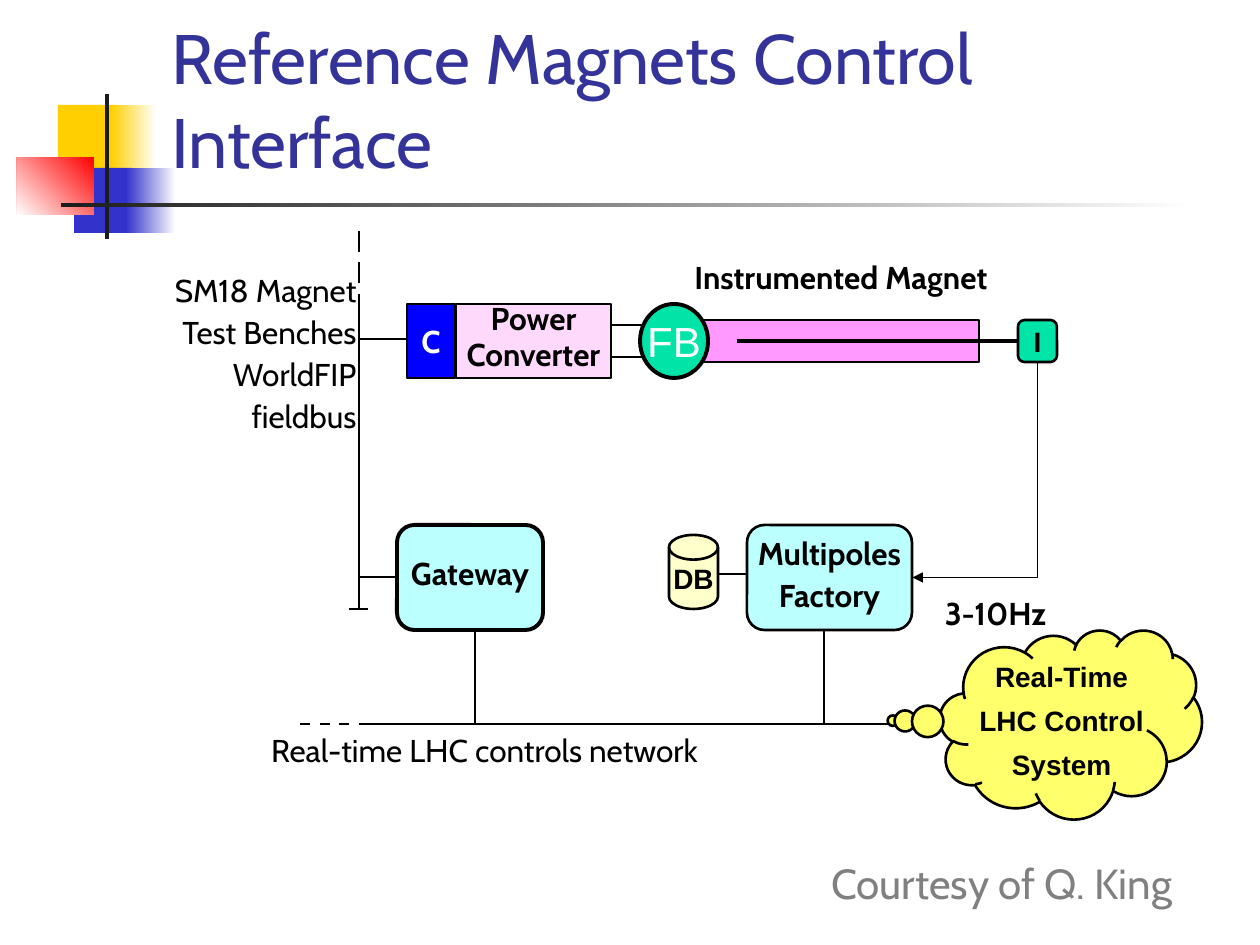
import pptx
import pptx.util
import pptx.dml.color
import pptx.enum.shapes
import pptx.enum.text
import pptx.oxml.ns
import lxml.etree

PX = 914400 / 126
FORM = pptx.enum.shapes.MSO_SHAPE
JOIN = pptx.enum.shapes.MSO_CONNECTOR
SIDE = pptx.enum.text.PP_ALIGN
MID = pptx.enum.text.MSO_ANCHOR.MIDDLE
qn = pptx.oxml.ns.qn
rgb = pptx.dml.color.RGBColor.from_string

# Theme: colours, then text styles (face, points, colour, bold)
HUE = dict(gold="FFCF01", blue="3333CC", red="FF0000", ink="1C1C1C",
           white="FFFFFF", black="000000", pink="FF99FF", rose="FFD9FB",
           deep="0000FF", aqua="BBFFFF", cream="FFFFCC", mint="00E4A8",
           lemon="FFFF6B", navy="333399", gray="808080")
TYPE = dict(title=("Cabin", 40, "navy", False),
            plain=("Cabin", 18, "black", False),
            bold=("Cabin", 18, "black", True),
            light=("Cabin", 18, "white", True),
            tag=("Arial", 16, "black", True),
            coil=("Arial", 24, "white", False),
            thanks=("Cabin", 24, "gray", False))


def write(shape, text, style, align=SIDE.CENTER, lead=1.0, **frame):
    """Fill a shape with one paragraph per line of text."""
    body = shape.text_frame
    opts = dict(word_wrap=False, vertical_anchor=MID,
                auto_size=pptx.enum.text.MSO_AUTO_SIZE.NONE) | frame
    for key, val in opts.items():
        setattr(body, key, val)
    body.text = text
    face, size, hue, bold = TYPE[style]
    for num, par in enumerate(body.paragraphs):
        gap = pptx.util.Pt(size * 0.375 if num else 0)
        for key, val in dict(alignment=align, line_spacing=lead, space_before=gap).items():
            setattr(par, key, val)
        for key, val in dict(name=face, size=pptx.util.Pt(size), bold=bold).items():
            setattr(par.font, key, val)
        par.font.color.rgb = rgb(HUE[hue])


def shape_at(form, box, hue, width=0):
    """Add a filled shape; width 0 leaves it without an outline."""
    shape = slide.shapes.add_shape(form, *(round(n * PX) for n in box))
    shape.shadow.inherit = False
    shape.fill.solid()
    shape.fill.fore_color.rgb = rgb(HUE[hue])
    if width:
        shape.line.width = pptx.util.Pt(width)
        shape.line.color.rgb = rgb(HUE["black"])
    else:
        shape.line.fill.background()
    return shape


deck = pptx.Presentation()
deck.slide_width, deck.slide_height = round(1260 * PX), round(945 * PX)
slide = deck.slides.add_slide(deck.slide_layouts[5])

# Corner blocks and rules: box, hue, gradient (start, end, angle)
for box, hue, grad in [
        ((58, 105, 60, 65), "gold", None),
        ((111, 105, 45, 65), "gold", ("white", "gold", 180)),
        ((74, 168, 58, 65), "blue", None),
        ((126, 168, 50, 65), "blue", ("white", "blue", 180)),
        ((17, 157, 77, 58), "red", ("red", "white", 225)),
        ((105, 94, 4, 145), "ink", None),
        ((61, 203, 1134, 4), "ink", ("white", "ink", 180))]:
    block = shape_at(FORM.RECTANGLE, box, hue)
    if grad:
        block.fill.gradient()
        block.fill.gradient_angle = grad[2]
        for stop, name, place in zip(block.fill.gradient_stops, grad, (0, 1)):
            stop.color.rgb = rgb(HUE[name])
            stop.position = place

# Title
title = slide.shapes.title
for key, val in dict(left=159, top=32, width=1073, height=157).items():
    setattr(title, key, round(val * PX))
write(title, "Reference Magnets Control Interface", "title", SIDE.LEFT,
      word_wrap=True, vertical_anchor=pptx.enum.text.MSO_ANCHOR.BOTTOM)

# Magnet body, under its wires
shape_at(FORM.RECTANGLE, (693, 320, 286, 42), "pink", 1)

# Wires: x1, y1, x2, y2, points
bus, net = 359, 724
wires = [(562, 357, 659, 357, 1.5), (562, 325, 659, 325, 1.5),
         (bus, 294, bus, 609, 1.5), (bus, net, 979, net, 1.5),
         (bus, 577, 397, 577, 1), (bus, 339, 407, 339, 1),
         (349, 609, 368, 609, 1), (475, 630, 475, net, 1),
         (824, 630, 824, net, 1), (717, 574, 747, 574, 1),
         (737, 341, 1018, 341, 2.25)]
# Broken ends of the fieldbus and the network
wires += [(bus, y, bus, y - 21, 1.5) for y in (283, 252)]
wires += [(x, net, x - 10, net, 1.5) for x in (349, 330, 310)]
links = []
for *ends, width in wires:
    link = slide.shapes.add_connector(JOIN.STRAIGHT, *(round(n * PX) for n in ends))
    link.line.width = pptx.util.Pt(width)
    links.append(link)

# Arrow from the instrument down to the factory, a quarter-turned elbow
arrow = slide.shapes.add_connector(
    JOIN.ELBOW, *(round(n * PX) for n in (868, 408, 1082, 533)))
arrow.line.width = pptx.util.Pt(1)
props = arrow._element.spPr
props.find(qn("a:prstGeom")).set("prst", "bentConnector2")
props.find(qn("a:xfrm")).set("rot", "5400000")
links.append(arrow)

for link in links:
    link.line.color.rgb = rgb(HUE["black"])
    lxml.etree.SubElement(link._element.spPr, qn("a:effectLst"))
lxml.etree.SubElement(props.find(qn("a:ln")), qn("a:tailEnd"), type="triangle")

# Parts: form, box, hue, outline, text, style, line spacing
for form, box, hue, width, text, style, lead in [
        (FORM.RECTANGLE, (407, 304, 48, 74), "deep", 1.5, "C", "light", 1),
        (FORM.RECTANGLE, (456, 304, 155, 74), "rose", 1.5,
         "Power\nConverter", "bold", 0.65),
        (FORM.OVAL, (640, 304, 68, 74), "mint", 2.25, "FB", "coil", 1),
        (FORM.ROUNDED_RECTANGLE, (1018, 320, 39, 42), "mint", 1.5, "I", "tag", 1),
        (FORM.ROUNDED_RECTANGLE, (397, 525, 146, 105), "aqua", 2.25,
         "Gateway", "bold", 0.7),
        (FORM.ROUNDED_RECTANGLE, (747, 525, 165, 105), "aqua", 1.5,
         "Multipoles\nFactory", "bold", 0.8),
        (FORM.FLOWCHART_MAGNETIC_DISK, (669, 535, 49, 74), "cream", 1.5,
         "DB", "tag", 1),
        (FORM.CLOUD_CALLOUT, (940, 630, 262, 189), "lemon", 1.5,
         "Real-Time\nLHC Control\nSystem", "tag", 1)]:
    part = shape_at(form, box, hue, width)
    write(part, text, style, lead=lead)
    if form == FORM.CLOUD_CALLOUT:
        part.adjustments[0], part.adjustments[1] = -0.68, -0.02

# Labels: box, text, style, format
for box, text, style, form in [
        ((140, 272, 229, 169), "SM18 Magnet\nTest Benches\nWorldFIP\nfieldbus",
         "plain", dict(align=SIDE.RIGHT, lead=0.8)),
        ((239, 725, 491, 50), "Real-time LHC controls network", "plain", {}),
        ((654, 252, 374, 50), "Instrumented Magnet", "bold", {}),
        ((931, 588, 129, 50), "3-10Hz", "bold", {}),
        ((819, 851, 399, 70), "Courtesy of Q. King", "thanks",
         dict(align=SIDE.LEFT, word_wrap=True,
              vertical_anchor=pptx.enum.text.MSO_ANCHOR.TOP))]:
    label = slide.shapes.add_textbox(*(round(n * PX) for n in box))
    write(label, text, style, **form)

deck.save("out.pptx")
